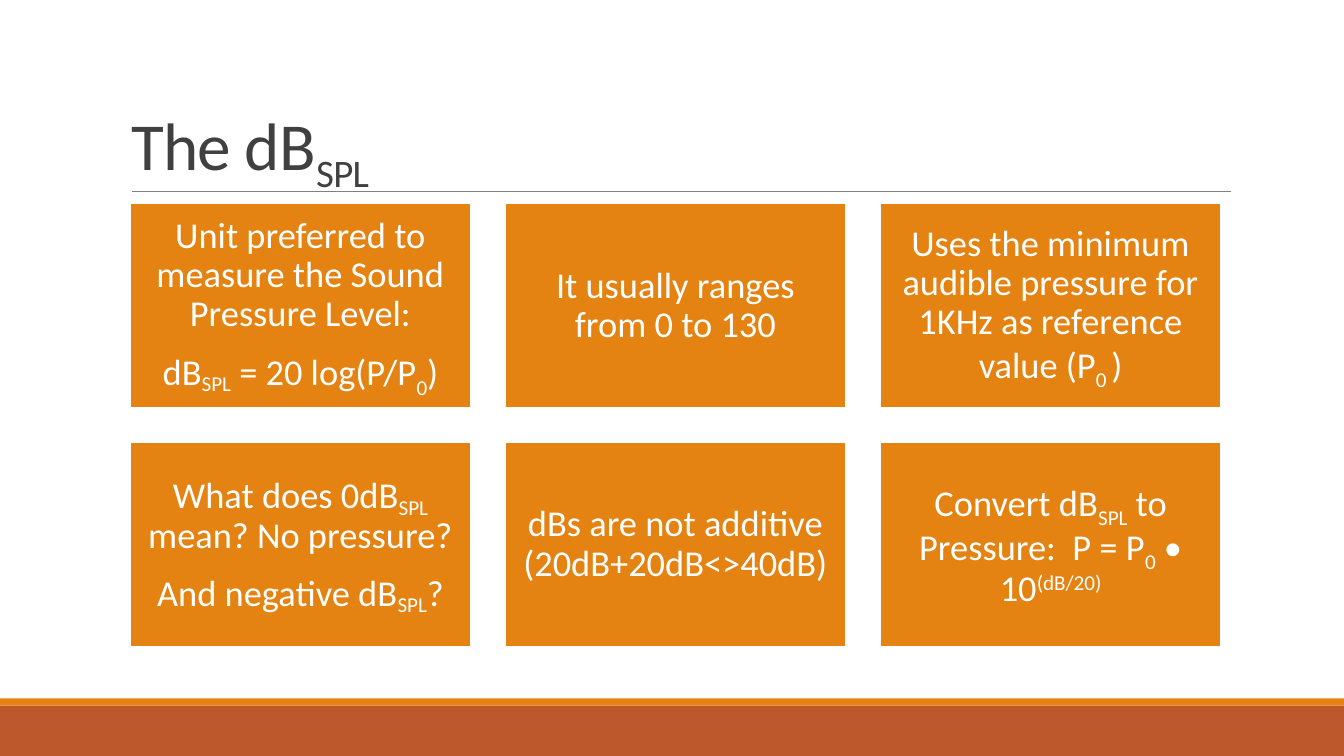
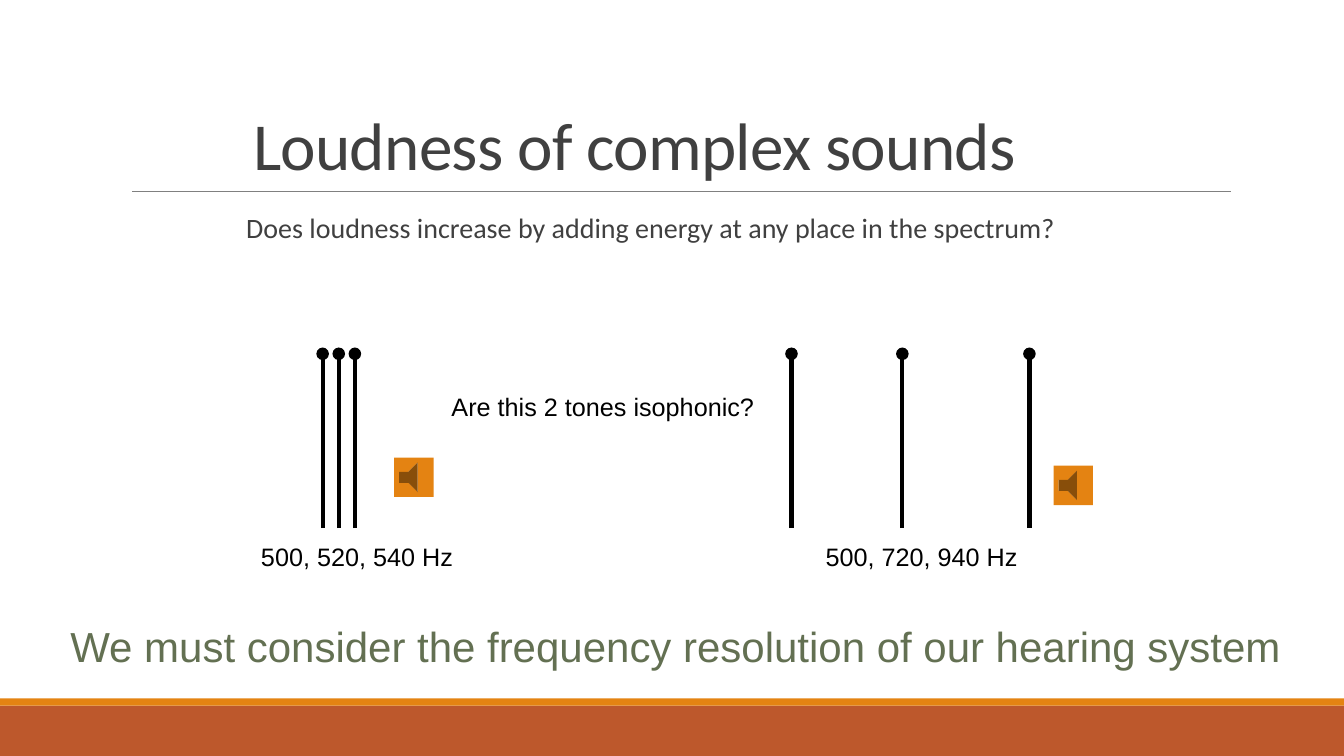
from dataclasses import dataclass

from lxml import etree
from pptx import Presentation
from pptx.dml.color import RGBColor
from pptx.enum import shapes as sh
from pptx.enum import text as tx
from pptx.oxml import ns
from pptx.util import Inches, Pt

COLORS = {
    "band": "BD582C",
    "accent": "E48312",
    "rule": "808080",
    "ink": "404040",
    "white": "FFFFFF",
    "black": "000000",
    "moss": "637052",
}
HEADING_FONT = "Calibri"
LABEL_FONT = "Arial"


@dataclass(frozen=True)
class Span:
    text: str
    baseline: int = 0  # percent: below zero is subscript


@dataclass(frozen=True)
class Style:
    size: float
    color: str
    font: str = HEADING_FONT
    spacing: int = 0  # hundredths of a point


@dataclass(frozen=True)
class Box:
    left: float
    top: float
    width: float
    height: float


@dataclass(frozen=True)
class Label:
    box: Box
    text: str
    style: Style
    wrap: bool = True


TITLE = Style(48, "ink", spacing=-50)
CARD = Style(26, "white")
QUESTION = Style(20, "ink")
CAPTION = Style(18, "black", LABEL_FONT)
CONCLUSION = Style(30, "moss", LABEL_FONT)

# Cards: each is a list of paragraphs, each paragraph a list of spans
CARDS = [
    [
        [Span("Unit preferred to measure the Sound Pressure Level:")],
        [Span("dB"), Span("SPL", -14), Span(" = 20 log(P/P"), Span("0", -25), Span(")")],
    ],
    [[Span("It usually ranges from 0 to 130")]],
    [[
        Span("Uses the minimum audible pressure for 1KHz as reference value (P"),
        Span("0 ", -25), Span(")"),
    ]],
    [
        [Span("What does 0dB"), Span("SPL", -18), Span(" mean? No pressure?")],
        [Span("And negative dB"), Span("SPL", -18), Span("?")],
    ],
    [[Span("dBs are not additive (20dB+20dB<>40dB)")]],
    [[
        Span("Convert dB"), Span("SPL", -25), Span(" to Pressure:  P = P"),
        Span("0", -25), Span(" • 10"), Span("(dB/20)", 30),
    ]],
]
CARD_COLUMNS = 3
FIRST_CARD = Box(1.29, 2.02, 3.38, 2.03)
CARD_GAP = 0.34

# Spectra: one line per tone
TONE_POSITIONS = [3.2, 3.36, 3.52, 7.85, 8.95, 10.21]
TONE_BOTTOM, TONE_TOP = 5.24, 3.51
LABELS = [
    Label(Box(2.49, 5.32, 2.12, 0.41), "500, 520, 540 Hz", CAPTION, wrap=False),
    Label(Box(8.09, 5.32, 2.12, 0.41), "500, 720, 940 Hz", CAPTION, wrap=False),
    Label(Box(4.38, 3.83, 3.47, 0.41), "Are this 2 tones isophonic?", CAPTION),
    Label(
        Box(0.6, 6.11, 12.73, 0.71),
        "We must consider the frequency resolution of our hearing system",
        CONCLUSION,
    ),
]
SOUND_BUTTONS = [Box(3.91, 4.54, 0.39, 0.39), Box(10.45, 4.62, 0.39, 0.39)]


def rgb(name: str) -> RGBColor:
    return RGBColor.from_string(COLORS[name])


def lengths(box: Box) -> tuple:
    return tuple(Inches(v) for v in (box.left, box.top, box.width, box.height))


def place(shape, box: Box) -> None:
    shape.left, shape.top, shape.width, shape.height = lengths(box)


def add_spans(para, spans: list[Span], style: Style) -> None:
    for span in spans:
        run = para.add_run()
        run.text = span.text
        run.font.size = Pt(style.size)
        run.font.name = style.font
        run.font.color.rgb = rgb(style.color)
        props = run._r.get_or_add_rPr()
        if span.baseline:
            props.set("baseline", str(span.baseline * 1000))
        if style.spacing:
            props.set("spc", str(style.spacing))


def add_block(page, kind, box: Box, fill: str, outline: str = ""):
    block = page.shapes.add_shape(kind, *lengths(box))
    block.shadow.inherit = False
    block.fill.solid()
    block.fill.fore_color.rgb = rgb(fill)
    if outline:
        block.line.color.rgb = rgb(outline)
        block.line.width = Pt(1.25)
    else:
        block.line.fill.background()
    return block


def add_line(page, start: tuple, end: tuple, color: str, width: float, tail: str = ""):
    points = [Inches(v) for v in (*start, *end)]
    line = page.shapes.add_connector(sh.MSO_CONNECTOR.STRAIGHT, *points)
    line.line.color.rgb = rgb(color)
    line.line.width = Pt(width)
    if tail:
        outline = line.line._get_or_add_ln()
        etree.SubElement(outline, ns.qn("a:tailEnd"), type=tail)
    etree.SubElement(line._element.spPr, ns.qn("a:effectLst"))


def add_page(deck, layout: int, title_box: Box, title: list[Span]):
    """Add a slide with the shared bands, title rule and title style."""
    page = deck.slides.add_slide(deck.slide_layouts[layout])
    rectangle = sh.MSO_SHAPE.RECTANGLE
    add_block(page, rectangle, Box(0, 7, 13.33, 0.5), "band")
    add_block(page, rectangle, Box(0, 6.93, 13.33, 0.07), "accent")
    add_line(page, (1.31, 1.9), (12.21, 1.9), "rule", 0.5)

    place(page.shapes.title, title_box)
    frame = page.shapes.title.text_frame
    frame.auto_size = tx.MSO_AUTO_SIZE.NONE
    frame.vertical_anchor = tx.MSO_ANCHOR.BOTTOM
    para = frame.paragraphs[0]
    para.alignment = tx.PP_ALIGN.LEFT
    para.line_spacing = 0.85
    add_spans(para, title, TITLE)
    return page


def add_card(page, box: Box, paragraphs: list[list[Span]]) -> None:
    card = add_block(page, sh.MSO_SHAPE.RECTANGLE, box, "accent", "white")
    frame = card.text_frame
    frame.word_wrap = True
    frame.vertical_anchor = tx.MSO_ANCHOR.MIDDLE
    frame.margin_left = frame.margin_right = Inches(0.11)
    frame.margin_top = frame.margin_bottom = Inches(0.11)
    for index, spans in enumerate(paragraphs):
        para = frame.add_paragraph() if index else frame.paragraphs[0]
        para.alignment = tx.PP_ALIGN.CENTER
        para.line_spacing = 0.9
        para.space_after = Pt(11)
        add_spans(para, spans, CARD)


def add_label(page, label: Label) -> None:
    frame = page.shapes.add_textbox(*lengths(label.box)).text_frame
    frame.word_wrap = label.wrap
    add_spans(frame.paragraphs[0], [Span(label.text)], label.style)


def fill_body(body, box: Box, text: str) -> None:
    place(body, box)
    frame = body.text_frame
    frame.auto_size = tx.MSO_AUTO_SIZE.NONE
    frame.margin_left = frame.margin_right = 0
    para = frame.paragraphs[0]
    para.line_spacing = 0.9
    para.space_before = Pt(0)
    para.space_after = Pt(2)
    # A blank bullet gives the hanging indent
    props = para._p.get_or_add_pPr()
    props.set("marL", str(Inches(0.1)))
    props.set("indent", str(-Inches(0.1)))
    etree.SubElement(props, ns.qn("a:buChar"), char=" ")
    add_spans(para, [Span(text)], QUESTION)


def build_decibel_page(deck) -> None:
    title = [Span("The dB"), Span("SPL", -25)]
    page = add_page(deck, 5, Box(1.2, 0.31, 11, 1.59), title)
    first = FIRST_CARD
    for index, paragraphs in enumerate(CARDS):
        row, column = divmod(index, CARD_COLUMNS)
        left = first.left + column * (first.width + CARD_GAP)
        top = first.top + row * (first.height + CARD_GAP)
        add_card(page, Box(left, top, first.width, first.height), paragraphs)


def build_loudness_page(deck) -> None:
    title = [Span("Loudness of complex sounds")]
    page = add_page(deck, 1, Box(2.41, 0.21, 8.59, 1.67), title)
    fill_body(
        page.placeholders[1],
        Box(2.34, 2.08, 8.66, 1.11),
        "Does loudness increase by adding energy at any place in the spectrum?",
    )
    for x in TONE_POSITIONS:
        add_line(page, (x, TONE_BOTTOM), (x, TONE_TOP), "black", 3, tail="oval")
    for label in LABELS:
        add_label(page, label)
    for box in SOUND_BUTTONS:
        add_block(page, sh.MSO_SHAPE.ACTION_BUTTON_SOUND, box, "accent")


def main() -> None:
    deck = Presentation()
    deck.slide_width, deck.slide_height = Inches(13.33), Inches(7.5)
    build_decibel_page(deck)
    build_loudness_page(deck)
    deck.save("out.pptx")


if __name__ == "__main__":
    main()
